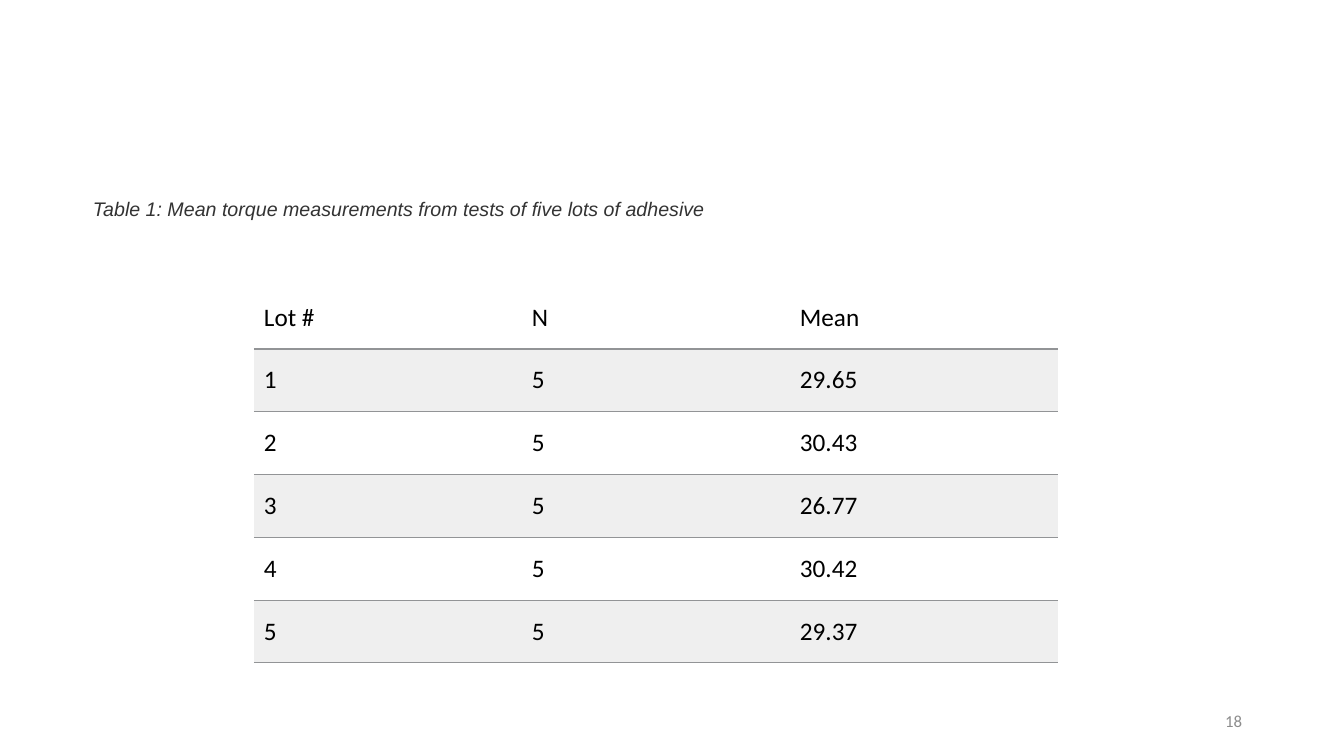
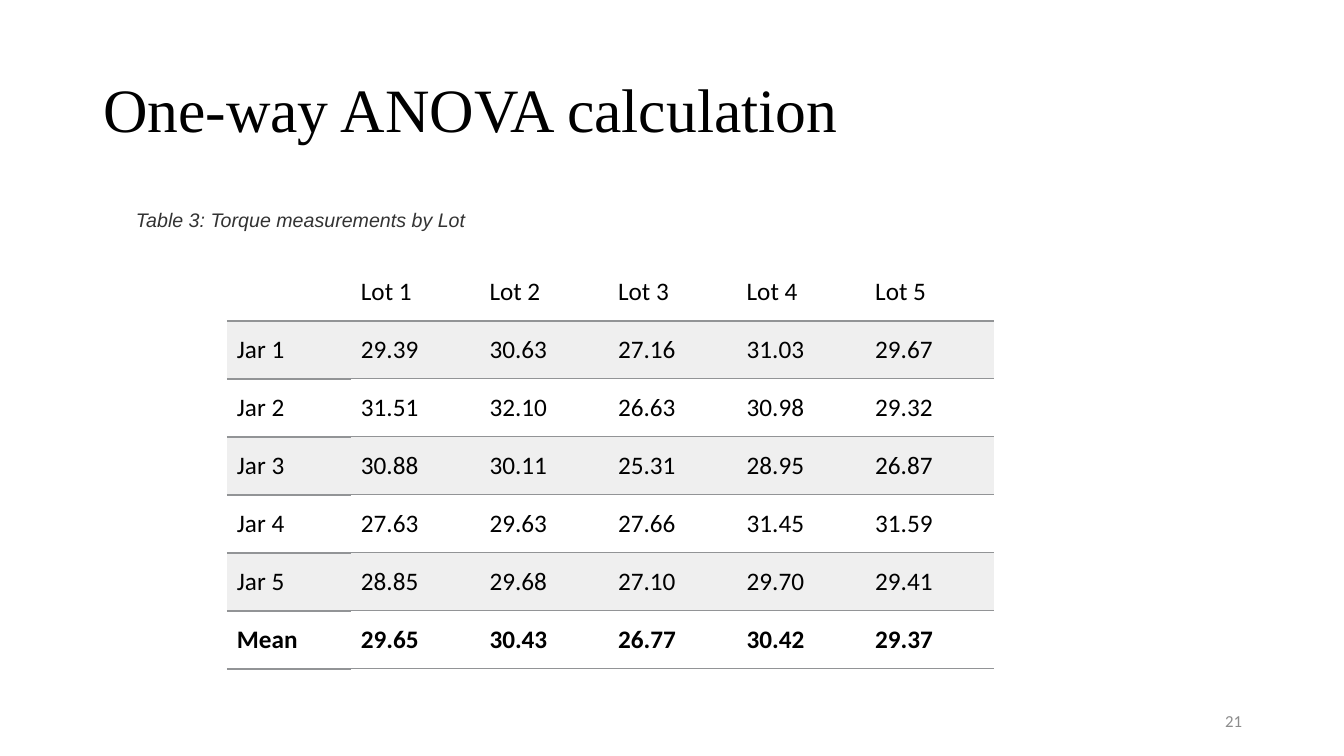
import lxml.etree
import pptx
import pptx.dml.color
import pptx.enum.text
import pptx.oxml.ns
import pptx.util

EMU_PER_PX = 914400 / 100.8
COLORS = {
    "text": "000000",
    "caption": "333333",
    "number": "8C8C8C",
    "rule": "929496",
    "band": "EFEFEF",
}
TITLE_FONT, CAPTION_FONT, BODY_FONT = "Times New Roman", "Arial", "Calibri"
THIN, THICK = 0.75, 1.5
CELL_MARGIN = 10
ALIGN = pptx.enum.text.PP_ALIGN
ANCHOR = pptx.enum.text.MSO_ANCHOR

LOT_MEANS = [
    ["Lot #", "N", "Mean"],
    ["1", "5", "29.65"],
    ["2", "5", "30.43"],
    ["3", "5", "26.77"],
    ["4", "5", "30.42"],
    ["5", "5", "29.37"],
]
JAR_TORQUES = [
    ["", "Lot 1", "Lot 2", "Lot 3", "Lot 4", "Lot 5"],
    ["Jar 1", "29.39", "30.63", "27.16", "31.03", "29.67"],
    ["Jar 2", "31.51", "32.10", "26.63", "30.98", "29.32"],
    ["Jar 3", "30.88", "30.11", "25.31", "28.95", "26.87"],
    ["Jar 4", "27.63", "29.63", "27.66", "31.45", "31.59"],
    ["Jar 5", "28.85", "29.68", "27.10", "29.70", "29.41"],
    ["Mean", "29.65", "30.43", "26.77", "30.42", "29.37"],
]


def px(length):
    return pptx.util.Emu(round(length * EMU_PER_PX))


def rgb(name):
    return pptx.dml.color.RGBColor.from_string(COLORS[name])


def set_margins(target, left, top, right, bottom):
    target.margin_left, target.margin_top = px(left), px(top)
    target.margin_right, target.margin_bottom = px(right), px(bottom)


def add_run(paragraph, text, size, font_name, color, bold=False, italic=False):
    run = paragraph.add_run()
    run.text = text
    font = run.font
    font.size, font.name = pptx.util.Pt(size), font_name
    font.bold, font.italic = bold, italic
    font.color.rgb = rgb(color)


def add_title(slide, text):
    title = slide.shapes.title
    title.left, title.top, title.width, title.height = px(93), px(40), px(1159), px(146)
    title.text_frame.vertical_anchor = ANCHOR.MIDDLE
    paragraph = title.text_frame.paragraphs[0]
    paragraph.alignment, paragraph.line_spacing = ALIGN.LEFT, 0.9
    add_run(paragraph, text, 44, TITLE_FONT, "text")


def add_text_box(slide, left, top, width, height):
    text_box = slide.shapes.add_textbox(px(left), px(top), px(width), px(height))
    text_box.text_frame.word_wrap = True
    return text_box.text_frame


def add_caption(slide, text, left, top, width, height):
    frame = add_text_box(slide, left, top, width, height)
    set_margins(frame, 0, 0, 0, 17)
    add_run(frame.paragraphs[0], text, 14, CAPTION_FONT, "caption", italic=True)


def add_slide_number(slide, number):
    frame = add_text_box(slide, 950, 701, 302, 40)
    frame.vertical_anchor = ANCHOR.MIDDLE
    paragraph = frame.paragraphs[0]
    paragraph.alignment = ALIGN.RIGHT
    add_run(paragraph, str(number), 12, BODY_FONT, "number")


def set_border(cell, side, weight):
    """Draw one cell edge (L, R, T or B); a weight of 0 hides it."""
    qn = pptx.oxml.ns.qn
    properties = cell._tc.get_or_add_tcPr()
    line = lxml.etree.SubElement(properties, qn(f"a:ln{side}"))
    line.set("w", str(pptx.util.Pt(weight)))
    if not weight:
        lxml.etree.SubElement(line, qn("a:noFill"))
        return
    fill = lxml.etree.SubElement(line, qn("a:solidFill"))
    lxml.etree.SubElement(fill, qn("a:srgbClr")).set("val", COLORS["rule"])


def format_cell(cell, text, row, rule, bold):
    cell.vertical_anchor = ANCHOR.MIDDLE
    set_margins(cell, *[CELL_MARGIN] * 4)
    above = 0 if row == 0 else THICK if row == 1 else rule
    below = THICK if row == 0 else rule
    for side, weight in zip("LRTB", (0, 0, above, below)):
        set_border(cell, side, weight)
    if row % 2:
        cell.fill.solid()
        cell.fill.fore_color.rgb = rgb("band")
    else:
        cell.fill.background()
    if text:
        add_run(cell.text_frame.paragraphs[0], text, 18, BODY_FONT, "text", bold=bold)


def add_data_table(slide, rows, left, top, width, height, label_width=None):
    """Add a banded table; label_width marks a label column and a bold last row."""
    row_count, column_count = len(rows), len(rows[0])
    frame = slide.shapes.add_table(
        row_count, column_count, px(left), px(top), px(width), px(height))
    table = frame.table
    table.first_row = table.horz_banding = False
    if label_width:
        value_width = (width - label_width) / (column_count - 1)
        for index, column in enumerate(table.columns):
            column.width = px(value_width if index else label_width)
    for row, texts in enumerate(rows):
        bold = bool(label_width) and row == row_count - 1
        for column, text in enumerate(texts):
            rule = THICK if label_width and column == 0 else THIN
            format_cell(table.cell(row, column), text, row, rule, bold)


def main():
    presentation = pptx.Presentation()
    presentation.slide_width, presentation.slide_height = px(1344), px(756)
    title_only, blank = presentation.slide_layouts[5], presentation.slide_layouts[6]

    slide = presentation.slides.add_slide(blank)
    add_data_table(slide, LOT_MEANS, 254, 286, 804, 377)
    add_caption(slide, "Table 1: Mean torque measurements from tests of five lots of adhesive",
                93, 197, 882, 96)
    add_slide_number(slide, 18)

    slide = presentation.slides.add_slide(title_only)
    add_title(slide, "One-way ANOVA calculation")
    add_data_table(slide, JAR_TORQUES, 227, 263, 767, 406, label_width=124)
    add_caption(slide, "Table 3: Torque measurements by Lot", 136, 208, 340, 71)
    add_slide_number(slide, 21)

    presentation.save("out.pptx")


if __name__ == "__main__":
    main()
